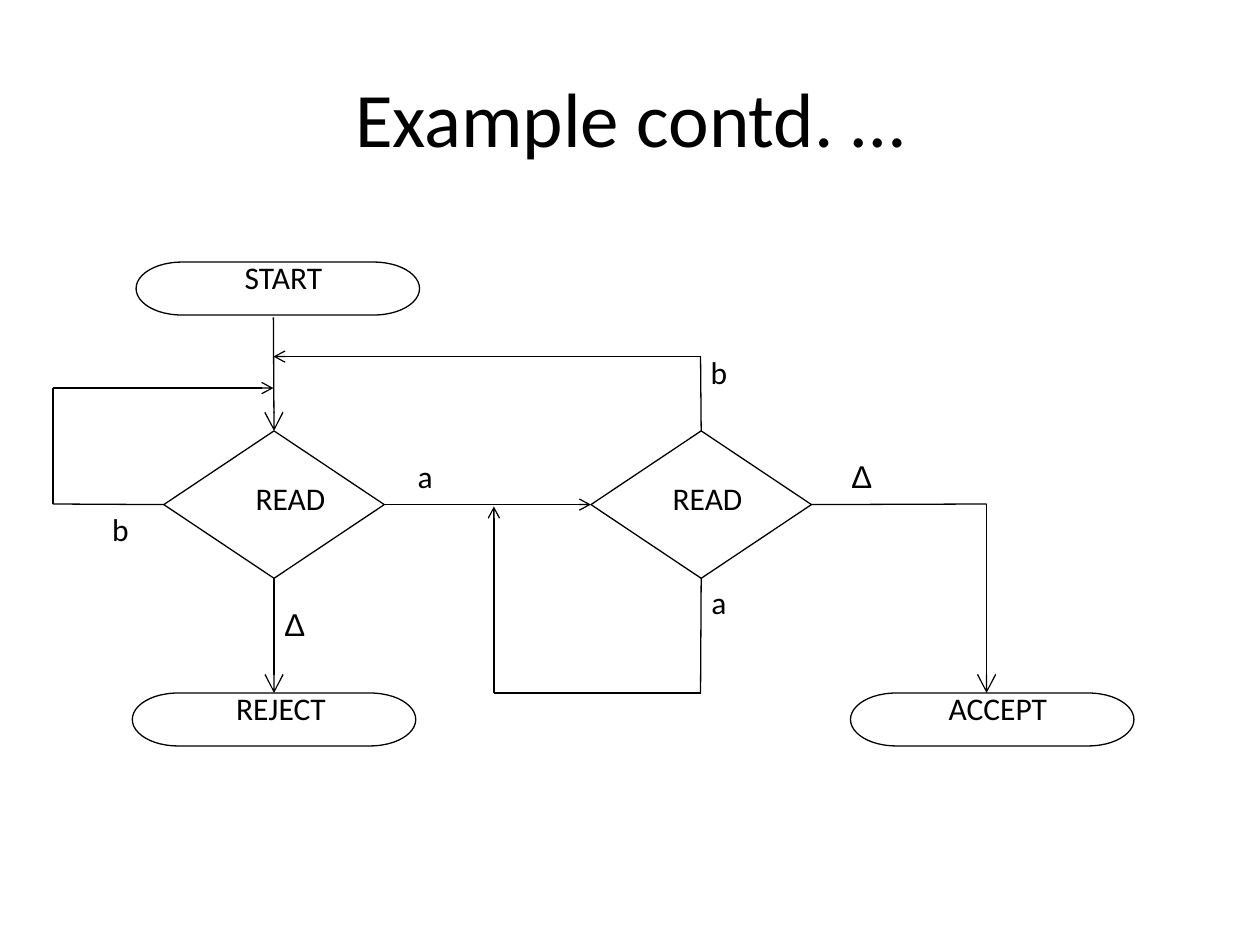
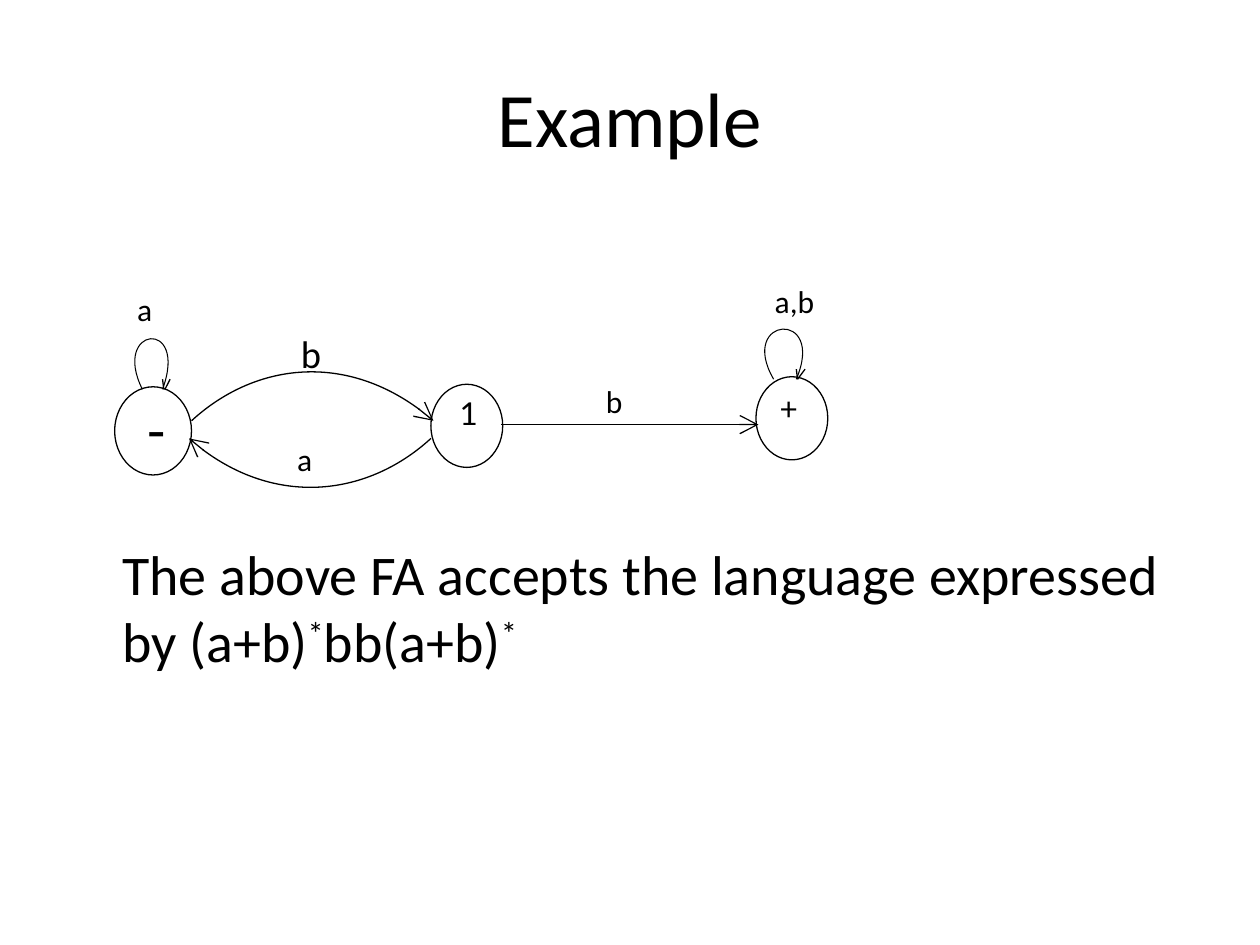
from lxml import etree
from pptx import Presentation
from pptx.dml.color import RGBColor
from pptx.enum.shapes import MSO_CONNECTOR, MSO_SHAPE
from pptx.enum.text import MSO_ANCHOR, PP_ALIGN
from pptx.oxml.ns import qn
from pptx.util import Inches, Pt

STRAIGHT = MSO_CONNECTOR.STRAIGHT
TERMINATOR = MSO_SHAPE.FLOWCHART_TERMINATOR
DECISION = MSO_SHAPE.FLOWCHART_DECISION
OVAL = MSO_SHAPE.OVAL
CENTER, LEFT = PP_ALIGN.CENTER, PP_ALIGN.LEFT
MIDDLE = MSO_ANCHOR.MIDDLE
TOP_SIDE, LEFT_SIDE, BOTTOM_SIDE, RIGHT_SIDE = range(4)

INK, PAPER = "000000", "FFFFFF"
BODY_FONT, STATE_FONT, SYMBOL_FONT = "Calibri", "Lato", "Arial"
TITLE_ONLY, TITLE_AND_BODY = 5, 1

TERMINATOR_SIZE = (2.25, 0.42)
DECISION_SIZE = (1.75, 1.17)
FLOW_NODES = {
    "start": (TERMINATOR, 1.08, 2.08, TERMINATOR_SIZE),
    "reject": (TERMINATOR, 1.05, 5.5, TERMINATOR_SIZE),
    "accept": (TERMINATOR, 6.75, 5.5, TERMINATOR_SIZE),
    "first read": (DECISION, 1.3, 3.42, DECISION_SIZE),
    "second read": (DECISION, 4.69, 3.42, DECISION_SIZE),
}
FLOW_ROUTES = [
    ("lg", [(2.17, 2.52), ("first read", TOP_SIDE)]),
    ("lg", [("first read", BOTTOM_SIDE), ("reject", TOP_SIDE)]),
    ("med", [("first read", RIGHT_SIDE), ("second read", LEFT_SIDE)]),
    ("med", [("first read", LEFT_SIDE), (0.42, 4), (0.42, 3.08), (2.17, 3.08)]),
    ("med", [("second read", TOP_SIDE), (5.56, 2.83), (2.17, 2.83)]),
    ("med", [("second read", BOTTOM_SIDE), (5.56, 5.5), (3.92, 5.5), (3.92, 4.02)]),
    ("lg", [("second read", RIGHT_SIDE), (7.83, 4), (7.83, 5.5)]),
]
FLOW_LABELS = [
    ("START", 1.5, 2, 1.5, BODY_FONT),
    ("REJECT", 1.48, 5.42, 1.5, BODY_FONT),
    ("ACCEPT", 7.17, 5.42, 1.5, BODY_FONT),
    ("READ", 1.75, 3.75, 1.11, BODY_FONT),
    ("READ", 5.06, 3.75, 1.11, BODY_FONT),
    ("a", 3, 3.58, 0.75, BODY_FONT),
    ("a", 5.33, 4.58, 0.75, BODY_FONT),
    ("b", 0.58, 4, 0.75, BODY_FONT),
    ("b", 5.33, 2.75, 0.75, BODY_FONT),
    ("∆ ", 6.5, 3.58, 0.75, SYMBOL_FONT),
    ("∆ ", 2, 4.75, 0.75, SYMBOL_FONT),
]

STATES = [
    ("-", 32, (0.91, 3.07, 0.61, 0.7), (1.06, 3.09)),
    ("1", 18, (3.42, 3.05, 0.57, 0.66), (3.55, 3.08)),
    ("+", 18, (6, 2.99, 0.57, 0.66), (6.09, 3.04)),
]
TRANSITIONS = [
    [(1.52, 3.34), (2.01, 2.89), (2.8, 2.78), (3.44, 3.34)],
    [(3.42, 3.48), (2.93, 3.93), (2.13, 4.04), (1.5, 3.48)],
]
STATE_LOOPS = [
    ([(1.13, 3.09), (0.88, 2.59), (1.5, 2.52), (1.29, 3.09)],
     [[(1.31, 3.09), (1.35, 3.01)], [(1.29, 3.01), (1.3, 3.09)]]),
    ([(6.14, 3.01), (5.85, 2.51), (6.56, 2.45), (6.32, 3.01)],
     [[(6.33, 3.01), (6.39, 2.93)], [(6.32, 2.93), (6.33, 3.01)]]),
]
TRANSITION_LABELS = [
    ("a", 2.26, 3.44, 18),
    ("b", 2.29, 2.57, 22),
    ("a", 0.99, 2.25, 18),
    ("b", 4.71, 2.98, 18),
    ("a,b", 6.05, 2.19, 18),
]
LANGUAGE_SPANS = [
    ("The above FA accepts the language expressed by (a+b)", False),
    ("*", True),
    ("bb(a+b)", False),
    ("*", True),
]


def color(value):
    return RGBColor.from_string(value)


def place(shape, left, top, width, height):
    shape.left, shape.top = Inches(left), Inches(top)
    shape.width, shape.height = Inches(width), Inches(height)


def format_span(span, size, font=BODY_FONT):
    span.font.size = Pt(size)
    span.font.name = font
    span.font.color.rgb = color(INK)


def format_line(shape, width=0.75, arrow=None):
    shape.line.color.rgb = color(INK)
    shape.line.width = Pt(width)
    if arrow:
        line = shape.line._get_or_add_ln()
        etree.SubElement(line, qn("a:tailEnd"), type="arrow", w=arrow, len=arrow)


def add_titled_page(deck, layout, title):
    page = deck.slides.add_slide(deck.slide_layouts[layout])
    place(page.shapes.title, 0.5, 0.3, 9, 1.25)
    frame = page.shapes.title.text_frame
    frame.text = title
    frame.vertical_anchor = MIDDLE
    frame.paragraphs[0].alignment = CENTER
    format_span(frame.paragraphs[0].runs[0], 44)
    return page


def add_label(page, text, area, size=18, font=BODY_FONT, alignment=LEFT):
    box = page.shapes.add_textbox(*map(Inches, area))
    box.text_frame.word_wrap = True
    box.text_frame.text = text
    para = box.text_frame.paragraphs[0]
    para.alignment = alignment
    format_span(para.runs[0], size, font)


def add_outline(page, kind, area, fill=None):
    shape = page.shapes.add_shape(kind, *map(Inches, area))
    shape.shadow.inherit = False
    if fill:
        shape.fill.solid()
        shape.fill.fore_color.rgb = color(fill)
    else:
        shape.fill.background()
    format_line(shape)
    return shape


def add_segment(page, begin, end, nodes, arrow=None):
    joined = [point[0] in nodes for point in (begin, end)]
    first, last = [
        (0, 0) if is_joined else tuple(map(Inches, point))
        for point, is_joined in zip((begin, end), joined)
    ]
    connector = page.shapes.add_connector(STRAIGHT, *first, *last)
    if joined[0]:
        connector.begin_connect(nodes[begin[0]], begin[1])
    if joined[1]:
        connector.end_connect(nodes[end[0]], end[1])
    format_line(connector, arrow=arrow)
    etree.SubElement(connector._element.spPr, qn("a:effectLst"))


def add_stroke(page, points, width=0.75, arrow=None):
    corners = [(Inches(x), Inches(y)) for x, y in points]
    builder = page.shapes.build_freeform(*corners[0])
    builder.add_line_segments(corners[1:], close=False)
    stroke = builder.convert_to_shape()
    stroke.shadow.inherit = False
    stroke.fill.background()
    format_line(stroke, width, arrow)
    return stroke


def add_curve(page, controls, width=0.75, arrow=None):
    stroke = add_stroke(page, controls, width, arrow)
    segments = list(stroke._element.iter(qn("a:lnTo")))
    curve = etree.SubElement(segments[0].getparent(), qn("a:cubicBezTo"))
    for segment in segments:
        curve.append(segment[0])
        segment.getparent().remove(segment)


def build_flowchart(deck):
    page = add_titled_page(deck, TITLE_ONLY, "Example contd. …")
    nodes = {
        name: add_outline(page, kind, (left, top, *size))
        for name, (kind, left, top, size) in FLOW_NODES.items()
    }
    for arrow, route in FLOW_ROUTES:
        last = len(route) - 2
        for index, (begin, end) in enumerate(zip(route, route[1:])):
            add_segment(page, begin, end, nodes, arrow if index == last else None)
    for text, left, top, width, font in FLOW_LABELS:
        add_label(page, text, (left, top, width, 0.5), font=font, alignment=CENTER)


def fill_language(body):
    place(body, 0.5, 1.75, 9, 4.95)
    body.text_frame.margin_top = Inches(2.53)
    para = body.text_frame.paragraphs[0]
    properties = para._p.get_or_add_pPr()
    properties.set("marL", str(Inches(0.37)))
    properties.set("indent", "0")
    etree.SubElement(properties, qn("a:buNone"))
    para.space_before = Pt(0)
    for text, raised in LANGUAGE_SPANS:
        span = para.add_run()
        span.text = text
        format_span(span, 32)
        if raised:
            span._r.get_or_add_rPr().set("baseline", "30000")


def build_automaton(deck):
    page = add_titled_page(deck, TITLE_AND_BODY, "Example")
    fill_language(page.placeholders[1])
    for text, size, area, label_corner in STATES:
        add_outline(page, OVAL, area, PAPER)
        add_label(page, text, (*label_corner, 0.36, 0.4), size, STATE_FONT)
    for controls in TRANSITIONS:
        add_curve(page, controls, arrow="lg")
    add_segment(page, (3.98, 3.37), (6.02, 3.37), {}, "lg")
    for controls, tip_strokes in STATE_LOOPS:
        add_curve(page, controls, width=0.6)
        for points in tip_strokes:
            add_stroke(page, points)
    for text, left, top, size in TRANSITION_LABELS:
        add_label(page, text, (left, top, 0.95, 0.52), size)


def main():
    deck = Presentation()
    deck.slide_width, deck.slide_height = Inches(10), Inches(7.5)
    build_flowchart(deck)
    build_automaton(deck)
    deck.save("out.pptx")


if __name__ == "__main__":
    main()
